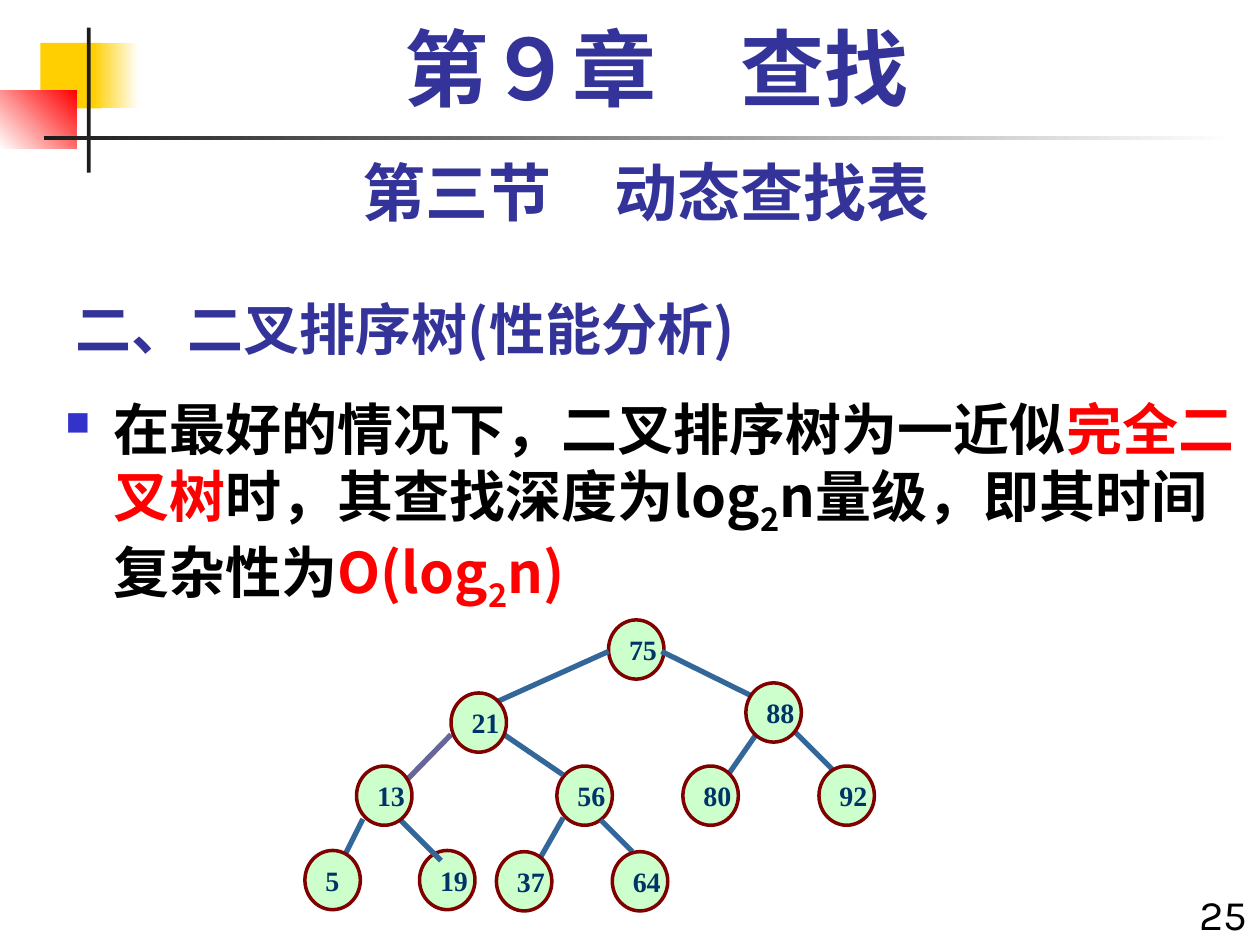
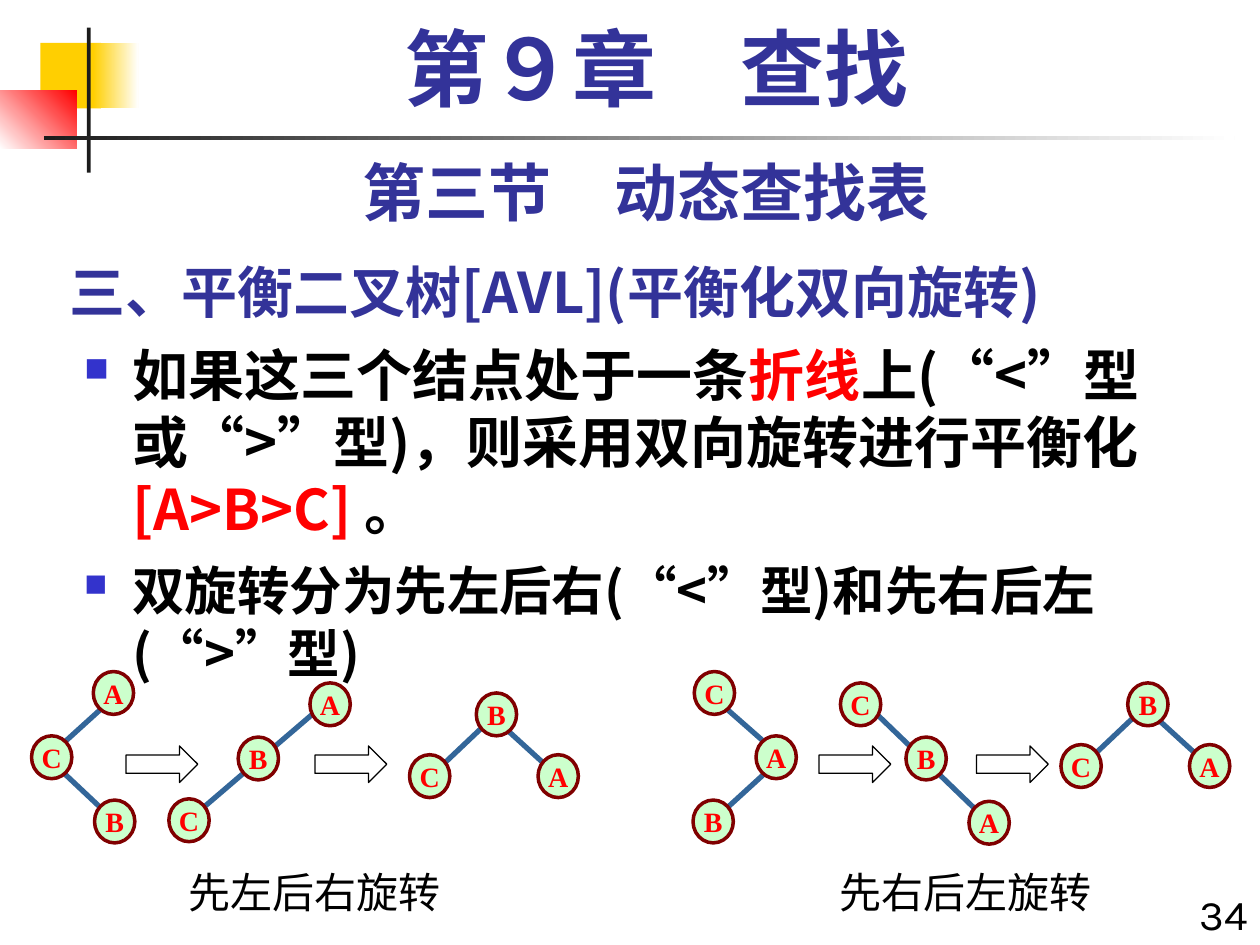
import pptx
import pptx.dml.color
import pptx.enum.shapes
import pptx.enum.text
import pptx.oxml.ns
import pptx.util
from lxml import etree

PX = 9144
SHAPE = pptx.enum.shapes.MSO_SHAPE
ALIGN = pptx.enum.text.PP_ALIGN
ANCHOR = pptx.enum.text.MSO_ANCHOR

CJK, SERIF, SANS = "Noto Sans CJK SC", "Times New Roman", "Karla"
NAVY, BLACK, RED, WHITE = "333399", "000000", "FF0000", "FFFFFF"
GOLD, CHARCOAL, BULLET = "FFCF01", "1C1C1C", "3333CC"
MINT, MAROON, NODE_TEXT, EDGE, EDGE_PURPLE = "CCFFCC", "800000", "003366", "336699", "666699"


def px(*lengths):
    return [pptx.util.Emu(length * PX) for length in lengths]


def rgb(color):
    return pptx.dml.color.RGBColor.from_string(color)


def add_element(parent, tag, **attributes):
    return etree.SubElement(parent, pptx.oxml.ns.qn(tag), attributes)


def set_font(para, size, font, color, bold):
    para.font.size = pptx.util.Pt(size)
    para.font.name = font
    para.font.bold = bold
    para.font.color.rgb = rgb(color)
    properties = para.font._element.find(pptx.oxml.ns.qn("a:latin")).getparent()
    add_element(properties, "a:ea", typeface=CJK)


def add_text(page, bounds, text, size, font, color=BLACK, bold=False, align=ALIGN.CENTER, anchor=ANCHOR.TOP):
    frame = page.shapes.add_textbox(*px(*bounds)).text_frame
    frame.word_wrap = True
    frame.vertical_anchor = anchor
    para = frame.paragraphs[0]
    para.text = text
    para.alignment = align
    set_font(para, size, font, color, bold)
    return para


def add_bullets(page, bounds, items):
    frame = page.shapes.add_textbox(*px(*bounds)).text_frame
    frame.word_wrap = True
    for index, (size, spans) in enumerate(items):
        para = frame.add_paragraph() if index else frame.paragraphs[0]
        if index:
            para.space_before = pptx.util.Pt(9)
        layout = para._p.get_or_add_pPr()
        layout.set("marL", str(38 * PX))
        layout.set("indent", str(-38 * PX))
        add_element(add_element(layout, "a:buClr"), "a:srgbClr", val=BULLET)
        add_element(layout, "a:buSzPct", val="60000")
        add_element(layout, "a:buChar", char="■")
        set_font(para, size, CJK, BLACK, True)
        for text, style in spans:
            span = para.add_run()
            span.text = text
            if "red" in style:
                span.font.color.rgb = rgb(RED)
            if "quote" in style:
                span.font.name = SERIF
            if "sub" in style:
                span._r.get_or_add_rPr().set("baseline", "-25000")


def add_band(page, bounds, color, end_color=None, angle=0):
    band = page.shapes.add_shape(SHAPE.RECTANGLE, *px(*bounds))
    band.shadow.inherit = False
    band.line.fill.background()
    if end_color is None:
        band.fill.solid()
        band.fill.fore_color.rgb = rgb(color)
        return
    band.fill.gradient()
    band.fill.gradient_angle = angle
    for stop, stop_color in zip(band.fill.gradient_stops, (color, end_color)):
        stop.color.rgb = rgb(stop_color)


def add_node(page, bounds, label, color, align):
    node = page.shapes.add_shape(SHAPE.OVAL, *px(*bounds))
    node.shadow.inherit = False
    node.fill.solid()
    node.fill.fore_color.rgb = rgb(MINT)
    node.line.color.rgb = rgb(MAROON)
    node.line.width = pptx.util.Pt(2)
    frame = node.text_frame
    frame.word_wrap = False
    frame.vertical_anchor = ANCHOR.MIDDLE
    para = frame.paragraphs[0]
    para.text = label
    para.alignment = align
    set_font(para, 16, SERIF, color, True)


def add_edge(page, ends, color=EDGE):
    edge = page.shapes.add_connector(pptx.enum.shapes.MSO_CONNECTOR.STRAIGHT, *px(*ends))
    edge.line.color.rgb = rgb(color)
    edge.line.width = pptx.util.Pt(3)
    add_element(edge._element.spPr, "a:effectLst")


def add_arrow(page, left):
    arrow = page.shapes.add_shape(SHAPE.RIGHT_ARROW, *px(left, 592, 57, 29))
    arrow.shadow.inherit = False
    arrow.fill.background()
    arrow.line.color.rgb = rgb(BLACK)
    arrow.line.width = pptx.util.Pt(0.75)


def add_page(deck, number, heading, heading_bounds):
    page = deck.slides.add_slide(deck.slide_layouts[6])
    add_band(page, (32, 34, 48, 52), GOLD)
    add_band(page, (74, 34, 36, 52), GOLD, WHITE)
    add_band(page, (0, 72, 61, 46), WHITE, RED, 45)
    add_band(page, (69, 22, 3, 115), CHARCOAL)
    add_band(page, (35, 108, 945, 3), CHARCOAL, WHITE)
    add_text(page, heading_bounds, heading, 32, CJK, NAVY, True, ALIGN.LEFT, ANCHOR.BOTTOM)
    add_text(page, (933, 700, 67, 50), number, 24, SANS, align=ALIGN.RIGHT)
    add_text(page, (50, 117, 925, 70), "第三节\u3000动态查找表".replace("\u3000", "　"), 36, SANS, NAVY, True)
    chapter = add_text(page, (67, 17, 908, 83), "第９章　查找", 48, SERIF, NAVY, True)
    chapter.line_spacing = 0.9
    return page


def add_search_tree(page):
    lower_nodes = [("75", 483, 492), ("56", 442, 608), ("19", 333, 675)]
    upper_nodes = [("64", 486, 676), ("5", 242, 675), ("37", 394, 676), ("21", 358, 550),
                   ("80", 542, 608), ("13", 283, 608), ("88", 592, 542), ("92", 650, 608)]
    edges = [(483, 517, 392, 558), (525, 517, 608, 558), (400, 583, 447, 615),
             (447, 649, 427, 684), (625, 575, 667, 617), (288, 650, 267, 692),
             (317, 650, 350, 683), (477, 651, 502, 676), (600, 583, 575, 619)]
    for label, left, top in lower_nodes:
        add_node(page, (left, top, 44, 47), label, NODE_TEXT, ALIGN.LEFT)
    add_edge(page, (358, 583, 317, 625), EDGE_PURPLE)
    for ends in edges:
        add_edge(page, ends)
    for label, left, top in upper_nodes:
        add_node(page, (left, top, 44, 47), label, NODE_TEXT, ALIGN.LEFT)


def add_rotation_tree(page, edges, nodes):
    for ends in edges:
        add_edge(page, ends)
    for label, left, top in nodes:
        add_node(page, (left, top, 32, 34), label, RED, ALIGN.CENTER)


def add_balanced_tree(page, left, top):
    add_rotation_tree(
        page,
        [(left + 76, top + 28, left + 110, top + 59), (left + 57, top + 28, left + 19, top + 64)],
        [("A", left + 102, top + 49), ("B", left + 53, top), ("C", left, top + 49)])


def build_performance_page(deck):
    page = add_page(deck, "25", "二、二叉排序树(性能分析)", (50, 217, 625, 75))
    add_bullets(page, (42, 308, 958, 183), [(32, [
        ("在最好的情况下，二叉排序树为一近似", ""), ("完全二叉树", "red"),
        ("时，其查找深度为log", ""), ("2", "sub"), ("n量级，即其时间复杂性为", ""),
        ("O(log", "red"), ("2", "red sub"), ("n)", "red")])])
    add_search_tree(page)


def build_rotation_page(deck):
    page = add_page(deck, "34", "三、平衡二叉树[AVL](平衡化双向旋转)", (45, 188, 833, 75))
    less = [("“", "quote"), ("<", ""), ("”", "quote")]
    greater = [("“", "quote"), (">", ""), ("”", "quote")]
    add_bullets(page, (57, 265, 958, 442), [
        (32, [("如果这三个结点处于一条", ""), ("折线", "red"), ("上(", ""), *less, ("型或", ""),
              *greater, ("型)，则采用双向旋转进行平衡化", ""), ("[A>B>C]", "red"), (" 。", "")]),
        (30, [("双旋转分为先左后右(", ""), *less, ("型)和先右后左(", ""), *greater, ("型)", "")])])
    add_rotation_tree(page, [(49, 612, 83, 644), (49, 591, 81, 562)],
                      [("A", 74, 533), ("B", 75, 635), ("C", 25, 584)])
    add_rotation_tree(page, [(249, 566, 159, 643)],
                      [("A", 246, 542), ("C", 134, 634), ("B", 189, 585)])
    add_balanced_tree(page, 325, 550)
    add_rotation_tree(page, [(609, 612, 574, 644), (609, 591, 576, 562)],
                      [("C", 551, 533), ("B", 550, 635), ("A", 600, 584)])
    add_rotation_tree(page, [(695, 566, 777, 645)],
                      [("C", 667, 542), ("A", 769, 636), ("B", 719, 585)])
    add_balanced_tree(page, 842, 542)
    for left in (100, 250, 650, 775):
        add_arrow(page, left)
    add_text(page, (125, 683, 250, 50), "先左后右旋转", 24, SANS)
    add_text(page, (650, 683, 233, 50), "先右后左旋转", 24, SANS)


def main():
    deck = pptx.Presentation()
    deck.slide_width, deck.slide_height = px(1000, 750)
    build_performance_page(deck)
    build_rotation_page(deck)
    deck.save("out.pptx")


if __name__ == "__main__":
    main()
